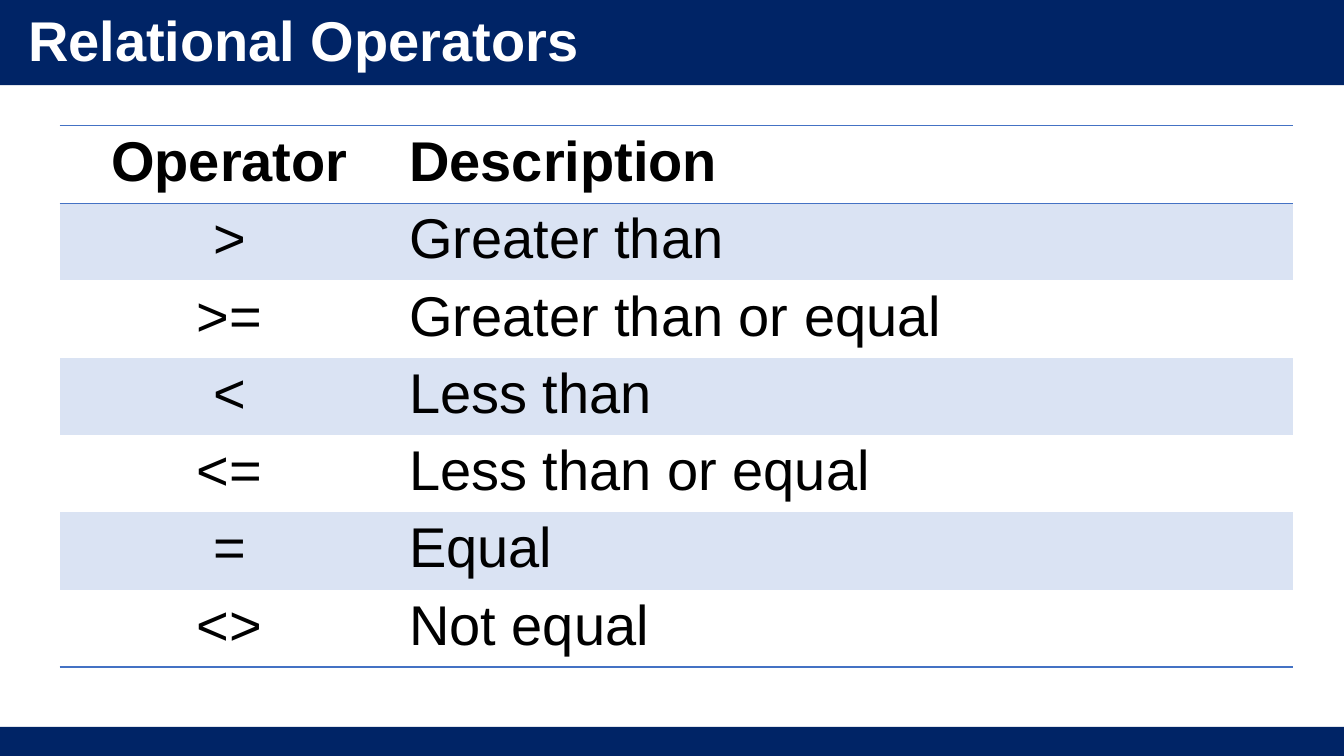
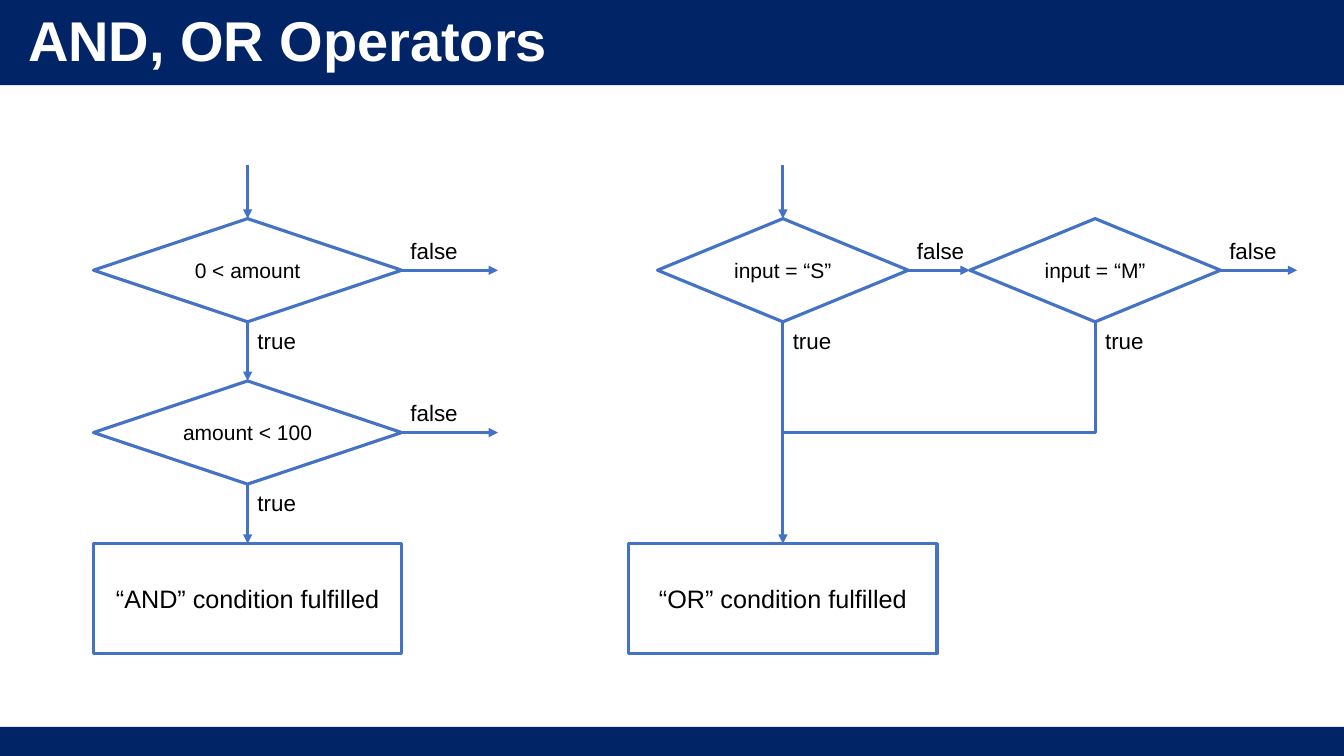
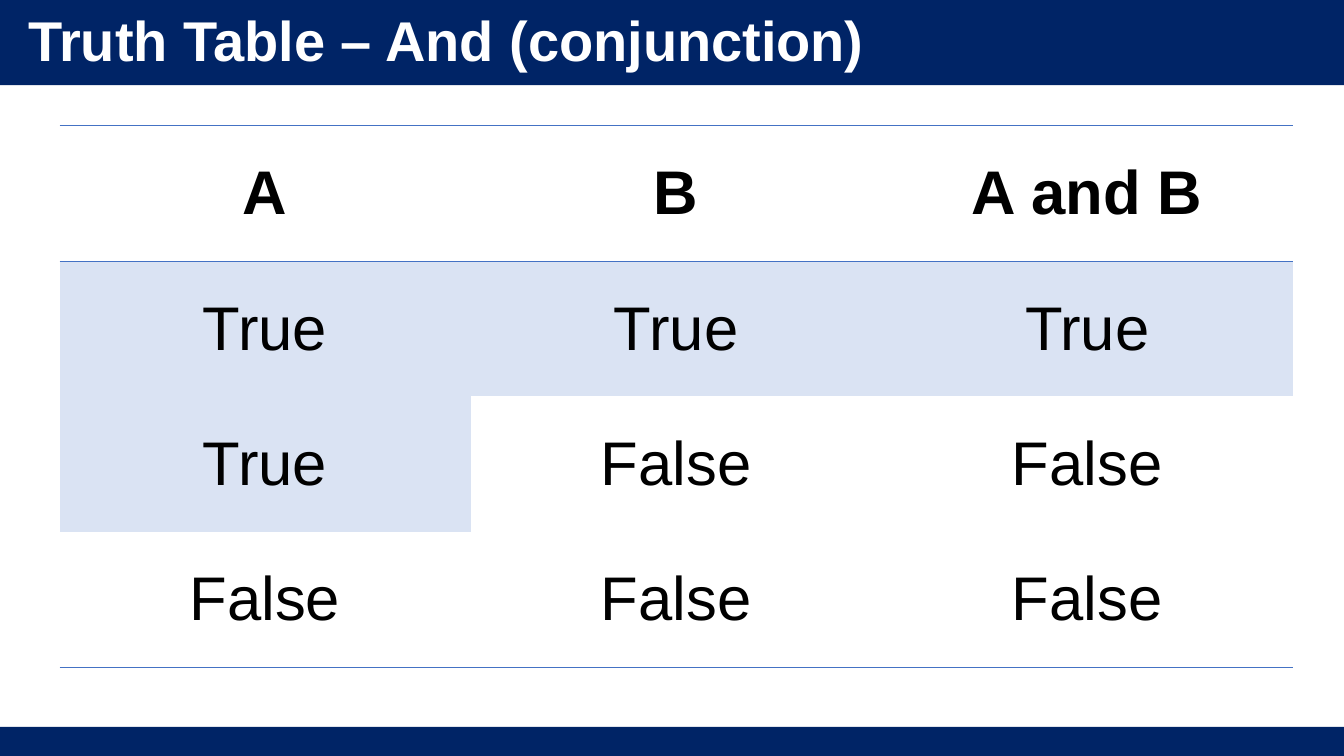
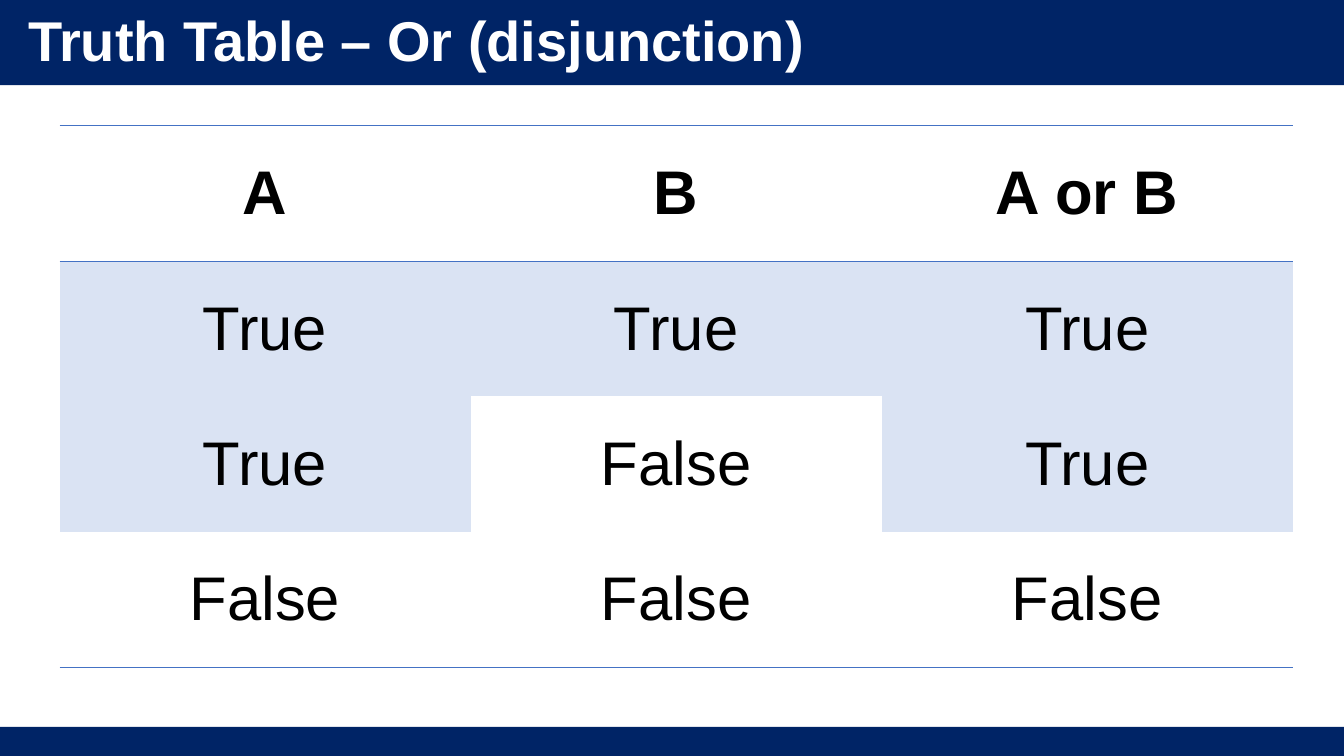
from lxml.etree import SubElement
from pptx import Presentation
from pptx.dml.color import RGBColor
from pptx.enum.shapes import MSO_CONNECTOR, MSO_SHAPE
from pptx.enum.text import MSO_ANCHOR, MSO_AUTO_SIZE, PP_ALIGN
from pptx.oxml.ns import qn
from pptx.util import Cm, Pt

COLORS = {
    "band": "002466",
    "accent": "4472C4",
    "tint": "DAE3F3",
    "white": "FFFFFF",
    "black": "000000",
}
FONT = "Arial"
WIDTH, HEIGHT = 33.87, 19.05
NO_STYLE = "{2D5ABB26-0587-4C30-8999-92F81FD0307C}"
TOP, LEFT, BOTTOM, RIGHT = range(4)


def color(name):
    return RGBColor.from_string(COLORS[name])


class Deck:
    def __init__(self):
        self.prs = Presentation()
        self.prs.slide_width, self.prs.slide_height = Cm(WIDTH), Cm(HEIGHT)

    def slide(self, title):
        self.s = self.prs.slides.add_slide(self.prs.slide_layouts[6])
        self.band(0, 2.15)
        self.band(18.32, 0.73)
        tf = self.textbox(0.46, 0.36, 23.57, 1.45)
        tf.word_wrap = True
        tf.vertical_anchor = MSO_ANCHOR.MIDDLE
        p = self.set_text(tf, title, 40, "white", bold=True)
        p.line_spacing = 0.9
        p.space_before = Pt(10)

    def set_text(self, tf, text, size, name="black", bold=False, align=PP_ALIGN.LEFT):
        p = tf.paragraphs[0]
        p.text = text
        p.alignment = align
        p.font.name, p.font.size, p.font.bold = FONT, Pt(size), bold
        p.font.color.rgb = color(name)
        return p

    def textbox(self, x, y, w, h):
        return self.s.shapes.add_textbox(Cm(x), Cm(y), Cm(w), Cm(h)).text_frame

    def shape(self, kind, x, y, w, h, fill):
        sp = self.s.shapes.add_shape(kind, Cm(x), Cm(y), Cm(w), Cm(h))
        sp.shadow.inherit = False
        sp.fill.solid()
        sp.fill.fore_color.rgb = color(fill)
        return sp

    def band(self, y, h):
        sp = self.shape(MSO_SHAPE.RECTANGLE, 0, y, WIDTH, h, "band")
        sp.line.fill.background()

    def stroke(self, sp):
        sp.line.color.rgb = color("accent")
        sp.line.width = Pt(2.25)

    def node(self, kind, text, cx, y, w, h, size):
        sp = self.shape(kind, cx - w / 2, y, w, h, "white")
        self.stroke(sp)
        tf = sp.text_frame
        tf.vertical_anchor = MSO_ANCHOR.MIDDLE
        self.set_text(tf, text, size, align=PP_ALIGN.CENTER)
        return sp

    def decision(self, text, cx, y, w):
        return self.node(MSO_SHAPE.FLOWCHART_DECISION, text, cx, y, w, 2.6, 15)

    def outcome(self, text, cx):
        return self.node(MSO_SHAPE.RECTANGLE, text, cx, 13.7, 7.77, 2.77, 18)

    def label(self, text, x, y, w):
        tf = self.textbox(x, y, w, 0.94)
        tf.word_wrap = False
        tf.auto_size = MSO_AUTO_SIZE.SHAPE_TO_FIT_TEXT
        self.set_text(tf, text, 16)

    def branch_labels(self, cx, y, w):
        self.label("true", cx, y + 2.6, 1.5)
        self.label("false", cx + w / 2 - 0.03, y + 0.33, 1.73)

    def arrow(self, x1, y1, x2, y2, start=None, end=None):
        cxn = self.s.shapes.add_connector(
            MSO_CONNECTOR.STRAIGHT, Cm(x1), Cm(y1), Cm(x2), Cm(y2))
        if start:
            cxn.begin_connect(*start)
        if end:
            cxn.end_connect(*end)
        self.stroke(cxn)
        spPr = cxn._element.spPr
        SubElement(spPr.get_or_add_ln(), qn("a:tailEnd"), type="triangle")
        SubElement(spPr, qn("a:effectLst"))

    def polyline(self, start, *points):
        fb = self.s.shapes.build_freeform(Cm(start[0]), Cm(start[1]))
        fb.add_line_segments([(Cm(x), Cm(y)) for x, y in points], close=False)
        sp = fb.convert_to_shape()
        sp.shadow.inherit = False
        sp.fill.background()
        self.stroke(sp)

    def border(self, cell, side):
        ln = SubElement(cell._tc.get_or_add_tcPr(), qn("a:" + side), w=str(Pt(1)))
        fill = SubElement(ln, qn("a:solidFill"))
        SubElement(fill, qn("a:srgbClr"), val=COLORS["accent"])

    def table(self, rows, widths, row_height, size, shaded, anchor, left_cols=()):
        shape = self.s.shapes.add_table(
            len(rows), len(widths), Cm(1.5), Cm(3.17),
            Cm(sum(widths)), Cm(row_height * len(rows)))
        tbl = shape.table
        tbl.horz_banding = False
        shape._element.find(".//" + qn("a:tableStyleId")).text = NO_STYLE
        for col, w in zip(tbl.columns, widths):
            col.width = Cm(w)
        for i, row in enumerate(rows):
            tbl.rows[i].height = Cm(row_height)
            for j, text in enumerate(row):
                cell = tbl.cell(i, j)
                align = PP_ALIGN.LEFT if j in left_cols else PP_ALIGN.CENTER
                self.set_text(cell.text_frame, text, size, bold=i == 0, align=align)
                cell.vertical_anchor = anchor
                if i == 0:
                    self.border(cell, "lnT")
                if i in (0, len(rows) - 1):
                    self.border(cell, "lnB")
                if shaded(i, text):
                    cell.fill.solid()
                    cell.fill.fore_color.rgb = color("tint")
                else:
                    cell.fill.background()

    def truth_table(self, title, heading, results):
        self.slide(title)
        inputs = [("True", "True"), ("True", "False"), ("False", "False")]
        rows = [("A", "B", heading)]
        rows += [(a, b, result) for (a, b), result in zip(inputs, results)]
        self.table(rows, [10.36] * 3, 3.41, 44,
                   lambda i, text: text == "True", MSO_ANCHOR.MIDDLE)


deck = Deck()

deck.slide("Relational Operators")
operators = [
    ("Operator", "Description"),
    (">", "Greater than"),
    (">=", "Greater than or equal"),
    ("<", "Less than"),
    ("<=", "Less than or equal"),
    ("=", "Equal"),
    ("<>", "Not equal"),
]
deck.table(operators, [8.56, 22.53], 1.83, 40,
           lambda i, text: i % 2 == 1, MSO_ANCHOR.TOP, left_cols=(1,))

deck.slide("AND, OR Operators")
entry_y, first_y, second_y = 4.17, 5.51, 9.6
mid_y = first_y + 1.3

and_x, and_w, and_exit = 6.24, 7.77, 12.55
above_zero = deck.decision("0 < amount", and_x, first_y, and_w)
below_limit = deck.decision("amount < 100", and_x, second_y, and_w)
both = deck.outcome("“AND” condition fulfilled", and_x)
deck.arrow(and_x, entry_y, and_x, first_y, end=(above_zero, TOP))
for test, following, y in [(above_zero, below_limit, first_y),
                           (below_limit, both, second_y)]:
    deck.arrow(and_x, y, and_x, y, (test, BOTTOM), (following, TOP))
    deck.arrow(and_x, y + 1.3, and_exit, y + 1.3, (test, RIGHT))
    deck.branch_labels(and_x, y, and_w)

small_x, medium_x, or_w, or_exit = 19.73, 27.6, 6.32, 32.69
small = deck.decision("input = “S”", small_x, first_y, or_w)
medium = deck.decision("input = “M”", medium_x, first_y, or_w)
either = deck.outcome("“OR” condition fulfilled", small_x)
deck.arrow(small_x, entry_y, small_x, first_y, end=(small, TOP))
deck.arrow(small_x, first_y, small_x, first_y, (small, BOTTOM), (either, TOP))
deck.arrow(small_x, mid_y, medium_x, mid_y, (small, RIGHT), (medium, LEFT))
deck.arrow(medium_x, mid_y, or_exit, mid_y, (medium, RIGHT))
deck.polyline((medium_x, first_y + 2.6), (medium_x, 10.9), (small_x, 10.9))
for x in (small_x, medium_x):
    deck.branch_labels(x, first_y, or_w)

deck.truth_table("Truth Table – And (conjunction)", "A and B",
                 ["True", "False", "False"])
deck.truth_table("Truth Table – Or (disjunction)", "A or B",
                 ["True", "True", "False"])

deck.prs.save("out.pptx")
